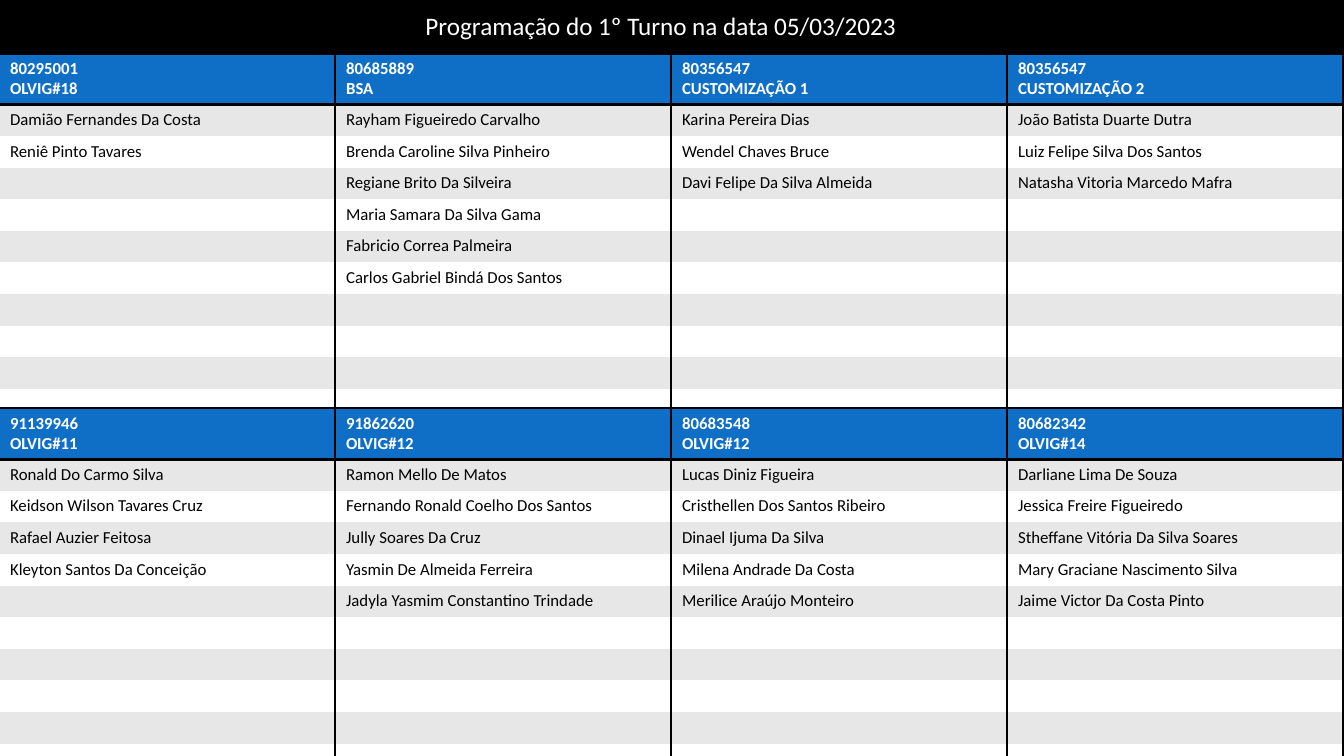
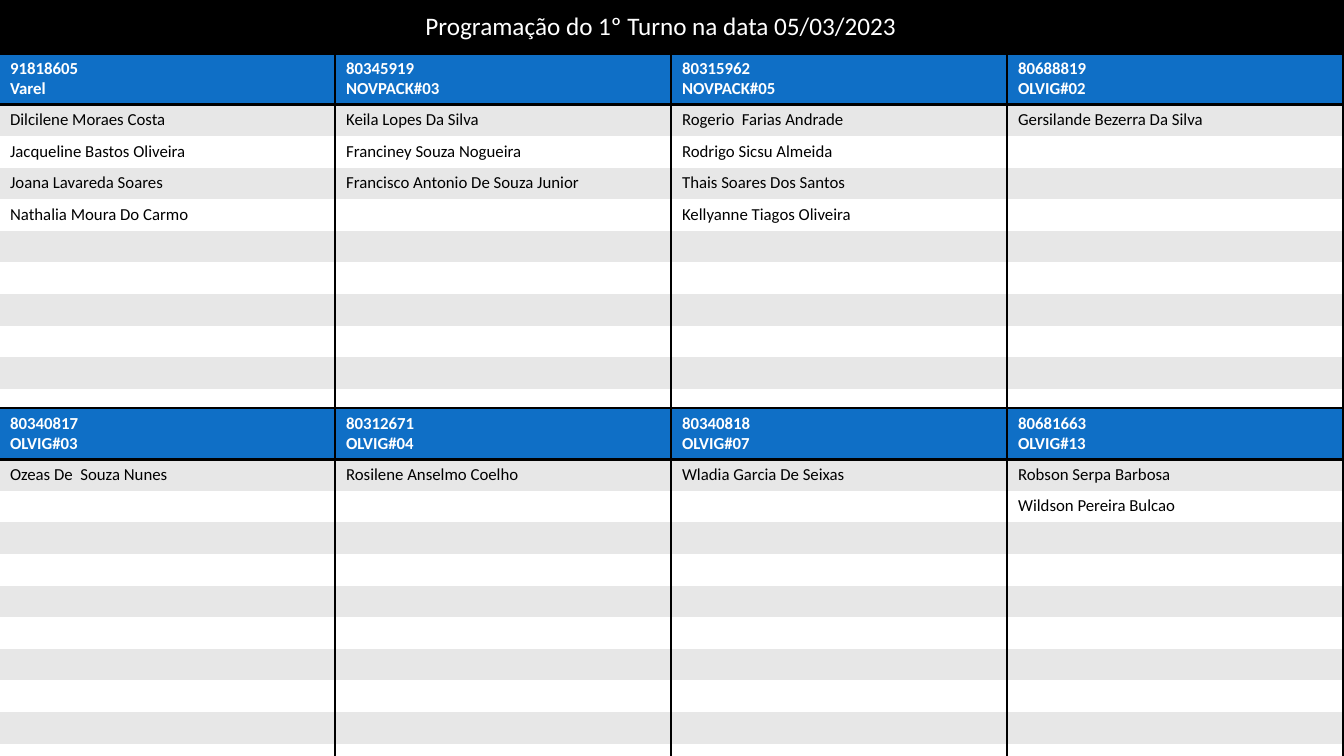
from dataclasses import dataclass

from lxml.etree import SubElement
from pptx import Presentation
from pptx.dml.color import RGBColor
from pptx.enum.text import MSO_ANCHOR as Anchor, PP_ALIGN as Align
from pptx.oxml.ns import qn
from pptx.presentation import Presentation as Deck
from pptx.slide import Slide, SlideLayout
from pptx.table import _Cell as Cell
from pptx.util import Emu, Inches, Pt


@dataclass(frozen=True)
class Theme:
    font: str = "Calibri"
    title_size: int = 18
    table_size: int = 12
    rule_width: int = 2
    black: str = "000000"
    white: str = "FFFFFF"
    blue: str = "0F6FC6"
    grey: str = "E7E7E7"


@dataclass(frozen=True)
class Team:
    code: str
    machine: str
    members: tuple[str, ...]


THEME = Theme()
TITLE = "Programação do 1º Turno na data 05/03/2023"
TITLE_ONLY = 5

# Slide grid: two bands of four tables, each with a header and ten rows
SLIDE_WIDTH, SLIDE_HEIGHT = Inches(13.33), Inches(7.5)
COLUMNS, TABLE_ROWS = 4, 11
COLUMN_PITCH = SLIDE_WIDTH / COLUMNS
TABLE_WIDTH = Emu(int(COLUMN_PITCH - Inches(0.02)))
TABLE_HEIGHT = Inches(3.45)
BAND_TOPS = (Inches(0.53), SLIDE_HEIGHT - TABLE_HEIGHT)

# Teams of each slide, in reading order
SHIFT_SLIDES = (
    (
        Team("80295001", "OLVIG#18", ("Damião Fernandes Da Costa", "Reniê Pinto Tavares")),
        Team("80685889", "BSA", (
            "Rayham Figueiredo Carvalho", "Brenda Caroline Silva Pinheiro",
            "Regiane Brito Da Silveira", "Maria Samara Da Silva Gama",
            "Fabricio Correa Palmeira", "Carlos Gabriel Bindá Dos Santos")),
        Team("80356547", "CUSTOMIZAÇÃO 1", (
            "Karina Pereira Dias", "Wendel Chaves Bruce", "Davi Felipe Da Silva Almeida")),
        Team("80356547", "CUSTOMIZAÇÃO 2", (
            "João Batista Duarte Dutra", "Luiz Felipe Silva Dos Santos",
            "Natasha Vitoria Marcedo Mafra")),
        Team("91139946", "OLVIG#11", (
            "Ronald Do Carmo Silva", "Keidson Wilson Tavares Cruz",
            "Rafael Auzier Feitosa", "Kleyton Santos Da Conceição")),
        Team("91862620", "OLVIG#12", (
            "Ramon Mello De Matos", "Fernando Ronald Coelho Dos Santos",
            "Jully Soares Da Cruz", "Yasmin De Almeida Ferreira",
            "Jadyla Yasmim Constantino Trindade")),
        Team("80683548", "OLVIG#12", (
            "Lucas Diniz Figueira", "Cristhellen Dos Santos Ribeiro",
            "Dinael Ijuma Da Silva", "Milena Andrade Da Costa",
            "Merilice Araújo Monteiro")),
        Team("80682342", "OLVIG#14", (
            "Darliane Lima De Souza", "Jessica Freire Figueiredo",
            "Stheffane Vitória Da Silva Soares", "Mary Graciane Nascimento Silva",
            "Jaime Victor Da Costa Pinto")),
    ),
    (
        Team("91818605", "Varel", (
            "Dilcilene Moraes Costa", "Jacqueline Bastos Oliveira",
            "Joana Lavareda Soares", "Nathalia Moura Do Carmo")),
        Team("80345919", "NOVPACK#03", (
            "Keila Lopes Da Silva", "Franciney Souza Nogueira",
            "Francisco Antonio De Souza Junior")),
        Team("80315962", "NOVPACK#05", (
            "Rogerio  Farias Andrade", "Rodrigo Sicsu Almeida",
            "Thais Soares Dos Santos", "Kellyanne Tiagos Oliveira")),
        Team("80688819", "OLVIG#02", ("Gersilande Bezerra Da Silva",)),
        Team("80340817", "OLVIG#03", ("Ozeas De  Souza Nunes",)),
        Team("80312671", "OLVIG#04", ("Rosilene Anselmo Coelho",)),
        Team("80340818", "OLVIG#07", ("Wladia Garcia De Seixas",)),
        Team("80681663", "OLVIG#13", ("Robson Serpa Barbosa", "Wildson Pereira Bulcao")),
    ),
)


def rgb(color: str) -> RGBColor:
    return RGBColor.from_string(color)


def set_borders(cell: Cell, ruled_sides: str) -> None:
    """Rule the given sides (of L, R, T, B) and clear the others."""
    properties = cell._tc.get_or_add_tcPr()
    for side in "LRTB":
        line = SubElement(properties, qn(f"a:ln{side}"))
        if side in ruled_sides:
            line.set("w", str(Pt(THEME.rule_width)))
            fill = SubElement(line, qn("a:solidFill"))
            SubElement(fill, qn("a:srgbClr")).set("val", THEME.black)
        else:
            SubElement(line, qn("a:noFill"))


def ruled_sides(row: int) -> str:
    """The header is ruled above and below, the last row below."""
    if row == 0:
        return "TB"
    return {1: "T", TABLE_ROWS - 1: "B"}.get(row, "")


def fill_cell(cell: Cell, row: int, text: str) -> None:
    is_header = row == 0
    set_borders(cell, ruled_sides(row))
    cell.fill.solid()
    band_color = THEME.grey if row % 2 else THEME.white
    cell.fill.fore_color.rgb = rgb(THEME.blue if is_header else band_color)
    cell.text = text
    for paragraph in cell.text_frame.paragraphs:
        font = paragraph.font
        font.name, font.size, font.bold = THEME.font, Pt(THEME.table_size), is_header
        font.color.rgb = rgb(THEME.white if is_header else THEME.black)


def add_team_table(slide: Slide, team: Team, position: int) -> None:
    band, column = divmod(position, COLUMNS)
    table = slide.shapes.add_table(
        TABLE_ROWS, 1, Emu(int(column * COLUMN_PITCH)), BAND_TOPS[band],
        TABLE_WIDTH, TABLE_HEIGHT).table
    table.horz_banding = table.first_row = False
    texts = (f"{team.code}\n{team.machine}", *team.members)
    for row in range(TABLE_ROWS):
        fill_cell(table.cell(row, 0), row, texts[row] if row < len(texts) else "")


def prepare_layout(layout: SlideLayout) -> None:
    """Give the layout its black background and the place of the title."""
    layout.background.fill.solid()
    layout.background.fill.fore_color.rgb = rgb(THEME.black)
    title = layout.placeholders[0]
    title.left, title.top = Inches(4.12), Inches(0.05)
    title.width, title.height = Inches(5.11), Inches(0.4)


def add_title(slide: Slide) -> None:
    frame = slide.shapes.title.text_frame
    frame.text = TITLE
    frame.word_wrap = False
    frame.vertical_anchor = Anchor.MIDDLE
    paragraph = frame.paragraphs[0]
    paragraph.alignment = Align.LEFT
    paragraph.font.name, paragraph.font.size = THEME.font, Pt(THEME.title_size)
    paragraph.font.color.rgb = rgb(THEME.white)


def add_shift_slide(presentation: Deck, layout: SlideLayout, teams: tuple[Team, ...]) -> None:
    slide = presentation.slides.add_slide(layout)
    add_title(slide)
    for position, team in enumerate(teams):
        add_team_table(slide, team, position)


def main() -> None:
    presentation = Presentation()
    presentation.slide_width, presentation.slide_height = SLIDE_WIDTH, SLIDE_HEIGHT
    layout = presentation.slide_layouts[TITLE_ONLY]
    prepare_layout(layout)
    for teams in SHIFT_SLIDES:
        add_shift_slide(presentation, layout, teams)
    presentation.save("out.pptx")


if __name__ == "__main__":
    main()
